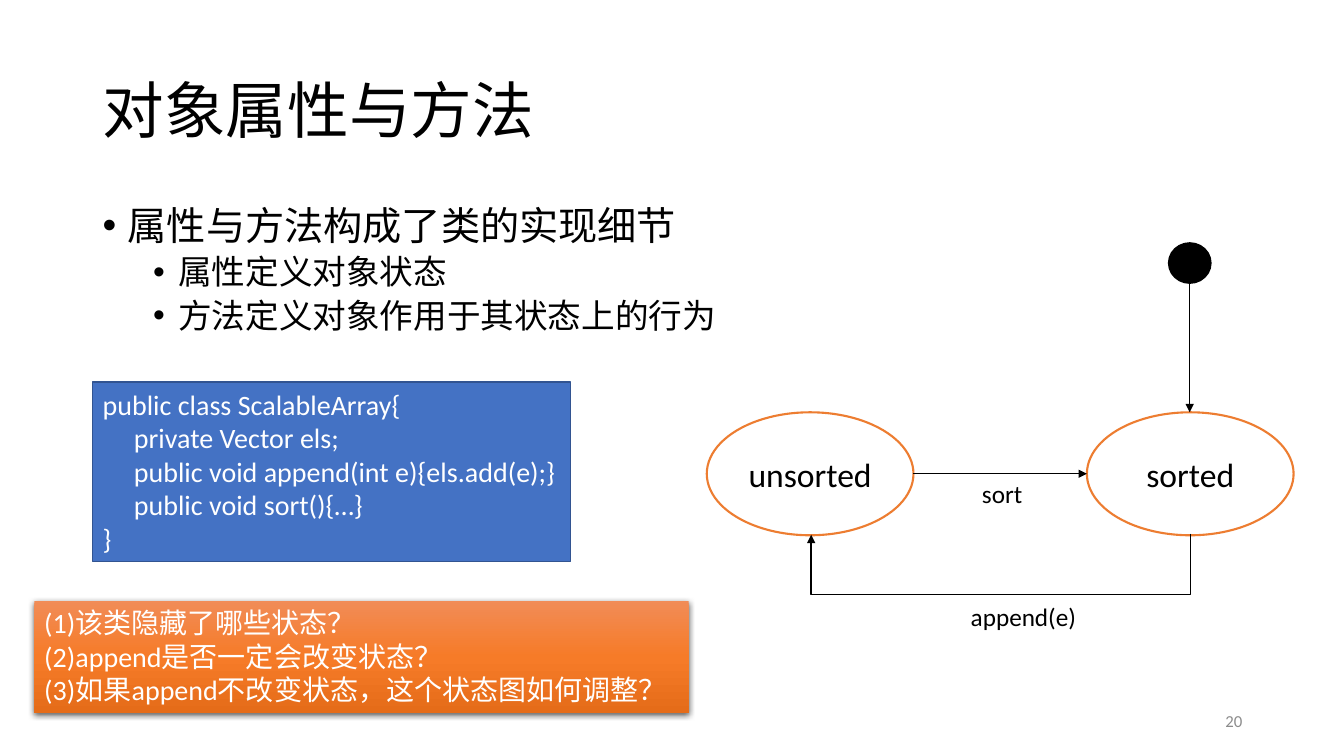
from copy import deepcopy
from dataclasses import dataclass

from lxml.etree import SubElement as Sub
from pptx import Presentation
from pptx.dml.color import RGBColor
from pptx.enum.shapes import MSO_CONNECTOR as Link, MSO_SHAPE as Kind
from pptx.enum.text import MSO_ANCHOR as Anchor, MSO_AUTO_SIZE as Fit, PP_ALIGN as Align
from pptx.oxml.ns import qn
from pptx.shapes.autoshape import Shape
from pptx.shapes.connector import Connector
from pptx.util import Emu, Pt

SCALE = 9144  # EMU per px, 100 px to the inch
FONT = "Calibri"
BLACK = RGBColor(0x00, 0x00, 0x00)
WHITE = RGBColor(0xFF, 0xFF, 0xFF)
GREY = RGBColor(0x8C, 0x8C, 0x8C)
BLUE = RGBColor(0x44, 0x72, 0xC4)
NAVY = RGBColor(0x32, 0x54, 0x91)
ORANGE = RGBColor(0xED, 0x7D, 0x31)
GLOW = (
    (0, RGBColor(0xF1, 0x8C, 0x57)),
    (0.5, RGBColor(0xF6, 0x7B, 0x28)),
    (1, RGBColor(0xE5, 0x6C, 0x19)),
)


@dataclass(frozen=True)
class Box:
    x: int
    y: int
    w: int
    h: int


@dataclass(frozen=True)
class Line:
    text: str
    size: int
    color: RGBColor = BLACK
    align: Align = Align.LEFT
    indent: int = 0
    bullet: bool = False
    before: int = 0
    space: float = 1.0


@dataclass(frozen=True)
class Label:
    box: Box
    lines: tuple[Line, ...]
    anchor: Anchor = Anchor.TOP
    wrap: bool = True


@dataclass(frozen=True)
class State:
    box: Box
    name: str = ""
    fill: RGBColor = WHITE
    edge: RGBColor = ORANGE
    width: float = 1.5


@dataclass(frozen=True)
class Arrow:
    x1: int
    y1: int
    x2: int
    y2: int


def px(n: int) -> Emu:
    return Emu(n * SCALE)


def place(box: Box) -> tuple[Emu, ...]:
    return px(box.x), px(box.y), px(box.w), px(box.h)


def write(shape: Shape, lines: tuple[Line, ...], anchor: Anchor, wrap: bool = True) -> None:
    frame = shape.text_frame
    frame.auto_size = Fit.NONE
    frame.word_wrap = wrap
    frame.vertical_anchor = anchor
    for i, line in enumerate(lines):
        para = frame.add_paragraph() if i else frame.paragraphs[0]
        para.alignment = line.align
        para.line_spacing = line.space
        para.space_before = Pt(line.before)
        props = para._p.get_or_add_pPr()
        props.set("marL", str(px(line.indent)))
        if line.bullet:
            props.set("indent", str(px(-25)))
            Sub(props, qn("a:buFont")).set("typeface", "Arial")
            Sub(props, qn("a:buChar")).set("char", "•")
        run = para.add_run()
        run.text = line.text
        run.font.name = FONT
        run.font.size = Pt(line.size)
        run.font.color.rgb = line.color


def add_label(shapes, label: Label) -> None:
    write(shapes.add_textbox(*place(label.box)), label.lines, label.anchor, label.wrap)


def add_form(shapes, kind: Kind, box: Box, fill: RGBColor, edge: RGBColor, width: float) -> Shape:
    form = shapes.add_shape(kind, *place(box))
    form.shadow.inherit = False
    form.fill.solid()
    form.fill.fore_color.rgb = fill
    form.line.color.rgb = edge
    form.line.width = Pt(width)
    return form


def add_state(shapes, state: State) -> None:
    oval = add_form(shapes, Kind.OVAL, state.box, state.fill, state.edge, state.width)
    if state.name:
        write(oval, (Line(state.name, 24, align=Align.CENTER),), Anchor.MIDDLE)


def add_arrow(shapes, arrow: Arrow, kind: Link = Link.STRAIGHT) -> Connector:
    link = shapes.add_connector(kind, px(arrow.x1), px(arrow.y1), px(arrow.x2), px(arrow.y2))
    link.line.color.rgb = BLACK
    link.line.width = Pt(1)
    Sub(link.line._get_or_add_ln(), qn("a:tailEnd")).set("type", "triangle")
    Sub(link._element.spPr, qn("a:effectLst"))
    return link


def add_loop(shapes, arrow: Arrow, bend: int) -> None:
    """Elbow turned by 90 degrees; bend is in thousandths of a percent."""
    props = add_arrow(shapes, arrow, Link.ELBOW)._element.spPr
    props.find(qn("a:xfrm")).set("rot", "5400000")
    geom = props.find(qn("a:prstGeom"))
    guides = geom.find(qn("a:avLst"))
    if guides is None:
        guides = Sub(geom, qn("a:avLst"))
    guide = Sub(guides, qn("a:gd"))
    guide.set("name", "adj1")
    guide.set("fmla", f"val {bend}")


def add_panel(shapes, box: Box, lines: tuple[Line, ...]) -> None:
    panel = shapes.add_shape(Kind.RECTANGLE, *place(box))
    panel.line.fill.background()
    # Gradient from top to bottom
    panel.fill.gradient()
    panel.fill.gradient_angle = 270
    props = panel._element.spPr
    stops = props.find(qn("a:gradFill")).find(qn("a:gsLst"))
    stops.append(deepcopy(stops[0]))
    for stop, (place_at, color) in zip(panel.fill.gradient_stops, GLOW):
        stop.position = place_at
        stop.color.rgb = color
    # Soft shadow below
    panel.shadow.inherit = False
    shade = Sub(props.find(qn("a:effectLst")), qn("a:outerShdw"))
    for key, value in (("blurRad", Pt(4.5)), ("dist", Pt(1.5)), ("dir", 5400000),
                       ("algn", "ctr"), ("rotWithShape", 0)):
        shade.set(key, str(value))
    tint = Sub(shade, qn("a:srgbClr"))
    tint.set("val", str(BLACK))
    Sub(tint, qn("a:alpha")).set("val", "63000")
    write(panel, lines, Anchor.TOP)


def point(text: str) -> Line:
    return Line(text, 24, indent=75, bullet=True, before=5, space=0.9)


def code(text: str, indent: int = 0) -> Line:
    return Line(text, 20, WHITE, indent=indent)


LABELS = (
    Label(Box(92, 40, 1150, 145), (Line("对象属性与方法", 44, space=0.9),), Anchor.MIDDLE),
    Label(Box(92, 200, 1150, 476), (
        Line("属性与方法构成了类的实现细节", 28, indent=25, bullet=True, before=10, space=0.9),
        point("属性定义对象状态"),
        point("方法定义对象作用于其状态上的行为"),
    )),
    Label(Box(964, 470, 61, 40), (Line("sort", 18),), wrap=False),
    Label(Box(953, 592, 126, 40), (Line("append(e)", 18),), wrap=False),
    Label(Box(942, 695, 300, 40), (Line("20", 12, GREY, Align.RIGHT),), Anchor.MIDDLE),
)
CODE = (
    code("public class ScalableArray{"),
    code("private Vector els;", 31),
    code("public void append(int e){els.add(e);}", 31),
    code("public void sort(){…}", 31),
    code("}"),
)
ASKS = (
    code("(1)该类隐藏了哪些状态？"),
    code("(2)append是否一定会改变状态？"),
    code("(3)如果append不改变状态，这个状态图如何调整？"),
)
STATES = (
    State(Box(701, 409, 205, 122), "unsorted"),
    State(Box(1078, 409, 205, 122), "sorted"),
    State(Box(1159, 241, 42, 40), fill=BLACK, edge=BLACK, width=1),
)
ARROWS = (Arrow(1180, 282, 1180, 409), Arrow(906, 470, 1078, 470))


def main() -> None:
    deck = Presentation()
    deck.slide_width, deck.slide_height = px(1333), px(750)
    shapes = deck.slides.add_slide(deck.slide_layouts[6]).shapes
    # Title, points, arrow names and page number
    for label in LABELS:
        add_label(shapes, label)
    # Class listing
    block = add_form(shapes, Kind.RECTANGLE, Box(92, 379, 474, 178), BLUE, NAVY, 1)
    write(block, CODE, Anchor.TOP, wrap=False)
    # State diagram
    for state in STATES:
        add_state(shapes, state)
    for arrow in ARROWS:
        add_arrow(shapes, arrow)
    add_loop(shapes, Arrow(992, 342, 993, 718), 6100000)
    # Questions
    add_panel(shapes, Box(34, 596, 649, 111), ASKS)
    deck.save("out.pptx")


if __name__ == "__main__":
    main()
